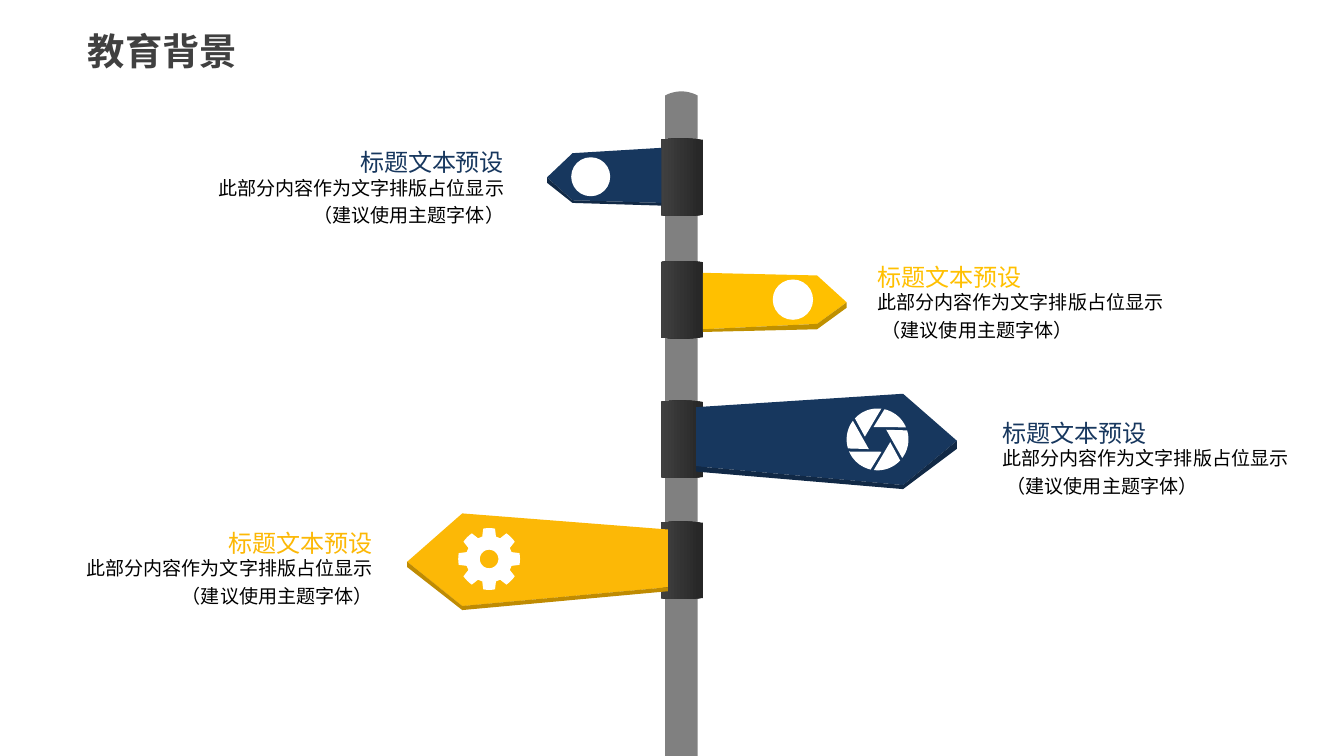
import math
from dataclasses import dataclass

import lxml.etree
import pptx
import pptx.dml.color
import pptx.enum.shapes
import pptx.enum.text
import pptx.oxml.ns
import pptx.util

Inches = pptx.util.Inches
RGBColor = pptx.dml.color.RGBColor
Align = pptx.enum.text.PP_ALIGN
Anchor = pptx.enum.text.MSO_ANCHOR

FONT = "Noto Sans CJK SC"
WHITE = RGBColor(0xFF, 0xFF, 0xFF)
BLACK = RGBColor(0x00, 0x00, 0x00)
TITLE_GREY = RGBColor(0x40, 0x40, 0x40)
POLE_GREY = RGBColor(0x80, 0x80, 0x80)
SLEEVE_DARK = RGBColor(0x26, 0x26, 0x26)
SLEEVE_LIGHT = RGBColor(0x40, 0x40, 0x40)
NAVY = RGBColor(0x17, 0x37, 0x5E)
NAVY_EDGE = RGBColor(0x11, 0x29, 0x46)
YELLOW = RGBColor(0xFF, 0xC0, 0x00)
YELLOW_EDGE = RGBColor(0xBF, 0x90, 0x00)
AMBER = RGBColor(0xFC, 0xB8, 0x06)
AMBER_EDGE = RGBColor(0xBF, 0x8B, 0x02)


@dataclass
class Sign:
    """Arrow board; x runs outward from the root, y down from the top."""
    root_x: float
    top: float
    direction: int
    reach: float
    shoulder: float
    root_span: tuple
    shoulder_span: tuple
    tip_y: float
    edge: tuple  # thickness at root, shoulder and tip
    color: RGBColor
    edge_color: RGBColor


SIGNS = [
    Sign(4.92, 1.10, -1, 0.85, 0.66, (0, 0.41), (0.04, 0.39), 0.22,
         (0.02, 0.02, 0.04), NAVY, NAVY_EDGE),
    Sign(5.23, 2.03, 1, 1.07, 0.85, (0, 0.42), (0.02, 0.38), 0.22,
         (0.02, 0.04, 0.04), YELLOW, YELLOW_EDGE),
    Sign(5.18, 2.93, 1, 1.94, 1.54, (0.10, 0.54), (0, 0.68), 0.35,
         (0.04, 0.03, 0.06), NAVY, NAVY_EDGE),
    Sign(4.97, 3.82, -1, 1.94, 1.53, (0.12, 0.55), (0, 0.69), 0.36,
         (0.03, 0.03, 0.04), AMBER, AMBER_EDGE),
]

# Left, top, alignment and heading colour
CAPTIONS = [
    (1.60, 1.10, Align.RIGHT, NAVY),
    (0.62, 3.93, Align.RIGHT, AMBER),
    (6.53, 1.95, Align.LEFT, YELLOW),
    (7.46, 3.11, Align.LEFT, NAVY),
]


def arc(center_x, center_y, radius, start, end, steps=12):
    """Points on a circle between two angles in degrees."""
    angles = [math.radians(start + (end - start) * i / steps) for i in range(steps + 1)]
    return [(center_x + radius * math.cos(a), center_y + radius * math.sin(a))
            for a in angles]


def plain(shape, color):
    shape.shadow.inherit = False
    shape.line.fill.background()
    shape.fill.solid()
    shape.fill.fore_color.rgb = color
    return shape


def add_outline(slide, contours, color):
    contours = [[(Inches(x), Inches(y)) for x, y in contour] for contour in contours]
    builder = slide.shapes.build_freeform(*contours[0][0], scale=1.0)
    for index, contour in enumerate(contours):
        if index:
            builder.move_to(*contour[0])
        builder.add_line_segments(contour[1:], close=True)
    return plain(builder.convert_to_shape(), color)


def add_column(slide, left, top, width, height, top_bow, bottom_bow):
    """Upright cylinder whose ends bulge beyond the given box."""
    steps = [i / 12 for i in range(13)]
    upper = [(left + width * t, top - 4 * top_bow * t * (1 - t)) for t in steps]
    lower = [(left + width * t, top + height + 4 * bottom_bow * t * (1 - t))
             for t in reversed(steps)]
    return add_outline(slide, [upper + lower], POLE_GREY)


def add_post(slide, left, top, width, height):
    add_column(slide, left, top, width, height, 0.03, 0.03)
    # Sleeves that hold the signs
    for offset in (0.33, 1.24, 2.28, 3.18):
        sleeve = add_column(slide, left - 0.03, top + offset, 0.31, 0.56, 0.01, 0.01)
        sleeve.fill.gradient()
        sleeve.fill.gradient_angle = 180
        for stop, color in zip(sleeve.fill.gradient_stops, (SLEEVE_DARK, SLEEVE_LIGHT)):
            stop.color.rgb = color


def add_sign(slide, sign):
    def place(x, y):
        return sign.root_x + sign.direction * x, sign.top + y

    xs = (0, sign.shoulder, sign.reach)
    lower = (sign.root_span[1], sign.shoulder_span[1], sign.tip_y)
    bottom = [place(x, y) for x, y in zip(xs, lower)]
    underside = [place(x, y + depth) for x, y, depth in zip(xs, lower, sign.edge)]
    upper = [place(sign.shoulder, sign.shoulder_span[0]), place(0, sign.root_span[0])]
    add_outline(slide, [bottom + upper], sign.color)
    add_outline(slide, [bottom + underside[::-1]], sign.edge_color)


def add_disc(slide, left, top, size):
    disc = slide.shapes.add_shape(pptx.enum.shapes.MSO_SHAPE.OVAL, Inches(left),
                                  Inches(top), Inches(size), Inches(size))
    plain(disc, WHITE)


def add_gear(slide, left, top, size):
    radius = size / 2
    x, y = left + radius, top + radius
    rim = []
    for tooth in range(0, 360, 45):
        rim += arc(x, y, radius * 0.76, tooth - 17, tooth - 17, 1)[:1]
        rim += arc(x, y, radius, tooth - 11, tooth + 11, 4)
        rim += arc(x, y, radius * 0.76, tooth + 17, tooth + 17, 1)[:1]
    add_outline(slide, [rim, arc(x, y, radius * 0.3, 360, 0, 36)], WHITE)


def add_aperture(slide, left, top, size):
    radius = size / 2
    x, y = left + radius, top + radius
    blades = [arc(x, y, radius, turn - 77, turn - 23)
              + arc(x, y, radius * 0.42, turn - 108, turn - 108, 1)[:1]
              for turn in range(0, 360, 60)]
    add_outline(slide, blades, WHITE)


def add_text(slide, box, text, size, color, align, bold=False, wrap=False,
             spacing=None, anchor=Anchor.TOP):
    frame = slide.shapes.add_textbox(*map(Inches, box)).text_frame
    frame.margin_left = frame.margin_right = frame.margin_top = frame.margin_bottom = 0
    frame.word_wrap = wrap
    frame.vertical_anchor = anchor
    paragraph = frame.paragraphs[0]
    paragraph.text = text
    paragraph.alignment = align
    paragraph.line_spacing = spacing
    font = paragraph.font
    font.name, font.size, font.bold = FONT, pptx.util.Pt(size), bold
    font.color.rgb = color
    # East Asian typeface
    qn = pptx.oxml.ns.qn
    properties = paragraph._p.pPr.find(qn("a:defRPr"))
    lxml.etree.SubElement(properties, qn("a:ea")).set("typeface", FONT)


def add_caption(slide, left, top, align, color):
    add_text(slide, (left, top, 2.15, 0.18), "标题文本预设", 12.9, color, align)
    add_text(slide, (left, top + 0.18, 2.15, 0.47),
             "此部分内容作为文字排版占位显示\v （建议使用主题字体）",
             10.2, BLACK, align, wrap=True, spacing=1.2)


def main():
    presentation = pptx.Presentation()
    # Widescreen, 16:9
    presentation.slide_width = Inches(10)
    presentation.slide_height = Inches(10 * 9 / 16)
    slide = presentation.slides.add_slide(presentation.slide_layouts[6])

    # Title
    add_text(slide, (-0.2, 0.14, 2.82, 0.47), "教育背景", 20, TITLE_GREY,
             Align.CENTER, bold=True, anchor=Anchor.MIDDLE)

    # Signpost
    add_post(slide, 4.95, 0.71, 0.24, 4.95)
    for sign in SIGNS:
        add_sign(slide, sign)

    # Icons on the signs
    add_disc(slide, 5.75, 2.08, 0.3)
    add_disc(slide, 4.25, 1.17, 0.29)
    add_gear(slide, 3.41, 3.93, 0.46)
    add_aperture(slide, 6.3, 3.04, 0.46)

    # Captions
    for caption in CAPTIONS:
        add_caption(slide, *caption)

    presentation.save("out.pptx")


if __name__ == "__main__":
    main()
